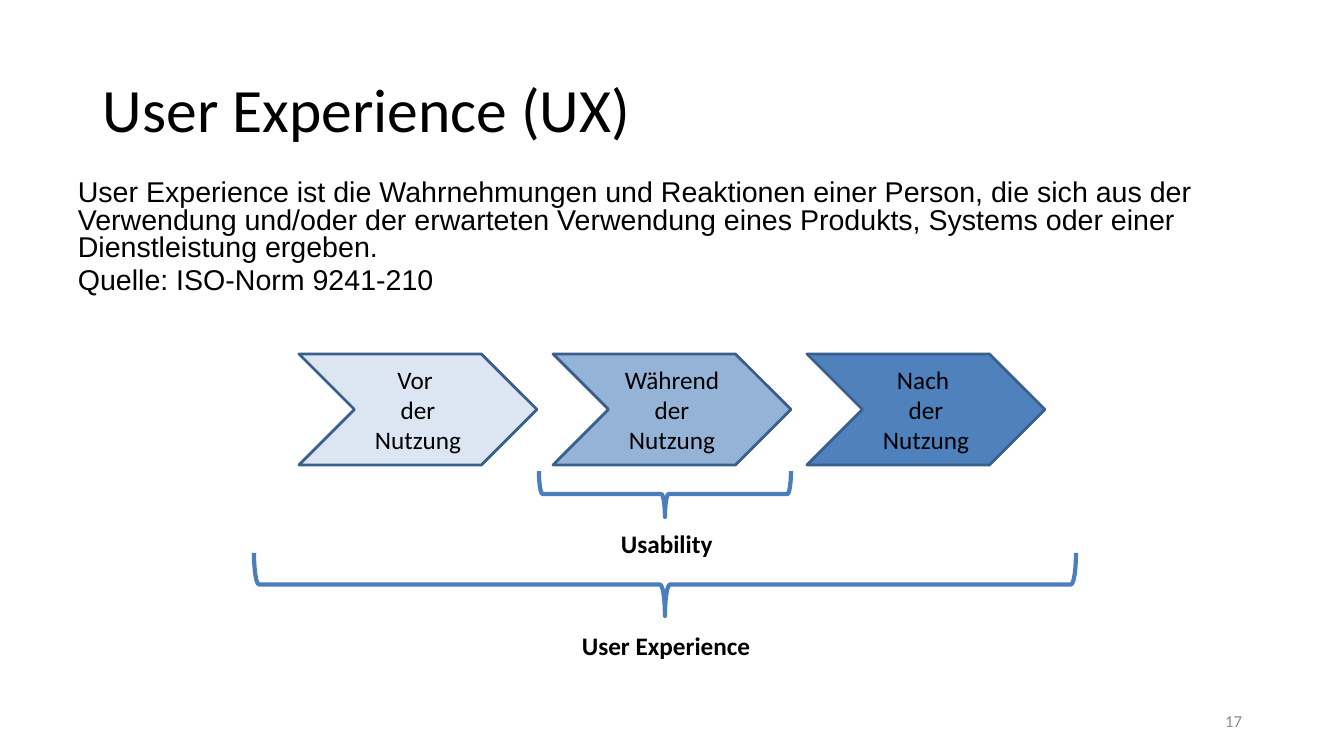
from dataclasses import dataclass

from pptx import Presentation
from pptx.dml.color import RGBColor
from pptx.enum.shapes import MSO_SHAPE as Shape
from pptx.enum.text import MSO_ANCHOR as Anchor, PP_ALIGN as Align
from pptx.util import Emu, Pt

# Content
TITLE = "User Experience (UX)"
DEFINITION = [
    "User Experience ist die Wahrnehmungen und Reaktionen einer Person, "
    "die sich aus der Verwendung und/oder der erwarteten Verwendung eines "
    "Produkts, Systems oder einer Dienstleistung ergeben.",
    "Quelle: ISO-Norm 9241-210",
]
PHASES = [
    (["Vor ", "der Nutzung"], "DCE6F2"),
    (["Während der", "Nutzung"], "95B3D7"),
    (["Nach ", "der Nutzung"], "4F81BD"),
]
# Label, label box, brace box (left, top, width, height in px)
SCOPES = [
    ("User Experience", (572, 625, 190, 40), (254, 553, 822, 63)),
    ("Usability", (611, 523, 113, 40), (539, 471, 252, 46)),
]
PAGE_NUMBER = "17"


@dataclass(frozen=True)
class Theme:
    heading_font: str = "Calibri"
    body_font: str = "Arial"
    text: str = "000000"
    muted: str = "8C8C8C"
    outline: str = "3A5F8C"
    brace: str = "4B7EBC"
    title_size: float = 44
    body_size: float = 20.4
    label_size: float = 18
    number_size: float = 12


THEME = Theme()

# Layout in px
EMU_PER_PX = 914400 / 100.8
SLIDE_SIZE = (1344, 756)
TITLE_BOX = (93, 40, 1159, 146)
DEFINITION_BOX = (68, 176, 1210, 126)
NUMBER_BOX = (950, 701, 302, 40)
PHASE_LEFT, PHASE_TOP, PHASE_WIDTH, PHASE_HEIGHT = 299, 354, 238, 111
PHASE_STEP = 254


def px(*lengths):
    return [Emu(round(length * EMU_PER_PX)) for length in lengths]


def color(value):
    return RGBColor.from_string(value)


def write(shape, lines, size, font=THEME.heading_font, fill=THEME.text,
          bold=False, align=Align.LEFT, anchor=Anchor.TOP, wrap=True,
          spacing=None, before=None):
    frame = shape.text_frame
    frame.text = "\n".join(lines)
    frame.word_wrap = wrap
    frame.vertical_anchor = anchor
    for paragraph in frame.paragraphs:
        paragraph.alignment = align
        paragraph.line_spacing = spacing
        paragraph.space_before = before
        for run in paragraph.runs:
            run.font.name = font
            run.font.size = Pt(size)
            run.font.bold = bold
            run.font.color.rgb = color(fill)


def add_text(slide, box, lines, size, **style):
    write(slide.shapes.add_textbox(*px(*box)), lines, size, **style)


def add_outlined(slide, kind, box, line_color, line_width):
    shape = slide.shapes.add_shape(kind, *px(*box))
    shape.shadow.inherit = False
    shape.line.color.rgb = color(line_color)
    shape.line.width = Pt(line_width)
    return shape


def add_brace(slide, box):
    """Turn a left brace so that it opens upwards and fills the box."""
    left, top, width, height = box
    upright = (left + (width - height) / 2, top + (height - width) / 2,
               height, width)
    brace = add_outlined(slide, Shape.LEFT_BRACE, upright, THEME.brace, 3)
    brace.rotation = 270
    brace.fill.background()
    brace.adjustments[0] = 0.08
    brace.adjustments[1] = 0.5


def main():
    presentation = Presentation()
    presentation.slide_width, presentation.slide_height = px(*SLIDE_SIZE)
    slide = presentation.slides.add_slide(presentation.slide_layouts[6])

    # Title, page number and definition
    add_text(slide, TITLE_BOX, [TITLE], THEME.title_size,
             anchor=Anchor.MIDDLE, spacing=0.9)
    add_text(slide, NUMBER_BOX, [PAGE_NUMBER], THEME.number_size,
             fill=THEME.muted, align=Align.RIGHT, anchor=Anchor.MIDDLE)
    add_text(slide, DEFINITION_BOX, DEFINITION, THEME.body_size,
             font=THEME.body_font, spacing=0.8, before=Pt(4))

    # Phases of use
    for index, (lines, fill) in enumerate(PHASES):
        box = (PHASE_LEFT + index * PHASE_STEP, PHASE_TOP,
               PHASE_WIDTH, PHASE_HEIGHT)
        chevron = add_outlined(slide, Shape.CHEVRON, box, THEME.outline, 2)
        chevron.fill.solid()
        chevron.fill.fore_color.rgb = color(fill)
        write(chevron, lines, THEME.label_size,
              align=Align.CENTER, anchor=Anchor.MIDDLE)

    # Braces with their labels
    for label, label_box, brace_box in SCOPES:
        add_brace(slide, brace_box)
        add_text(slide, label_box, [label], THEME.label_size,
                 bold=True, wrap=False)

    presentation.save("out.pptx")


if __name__ == "__main__":
    main()
